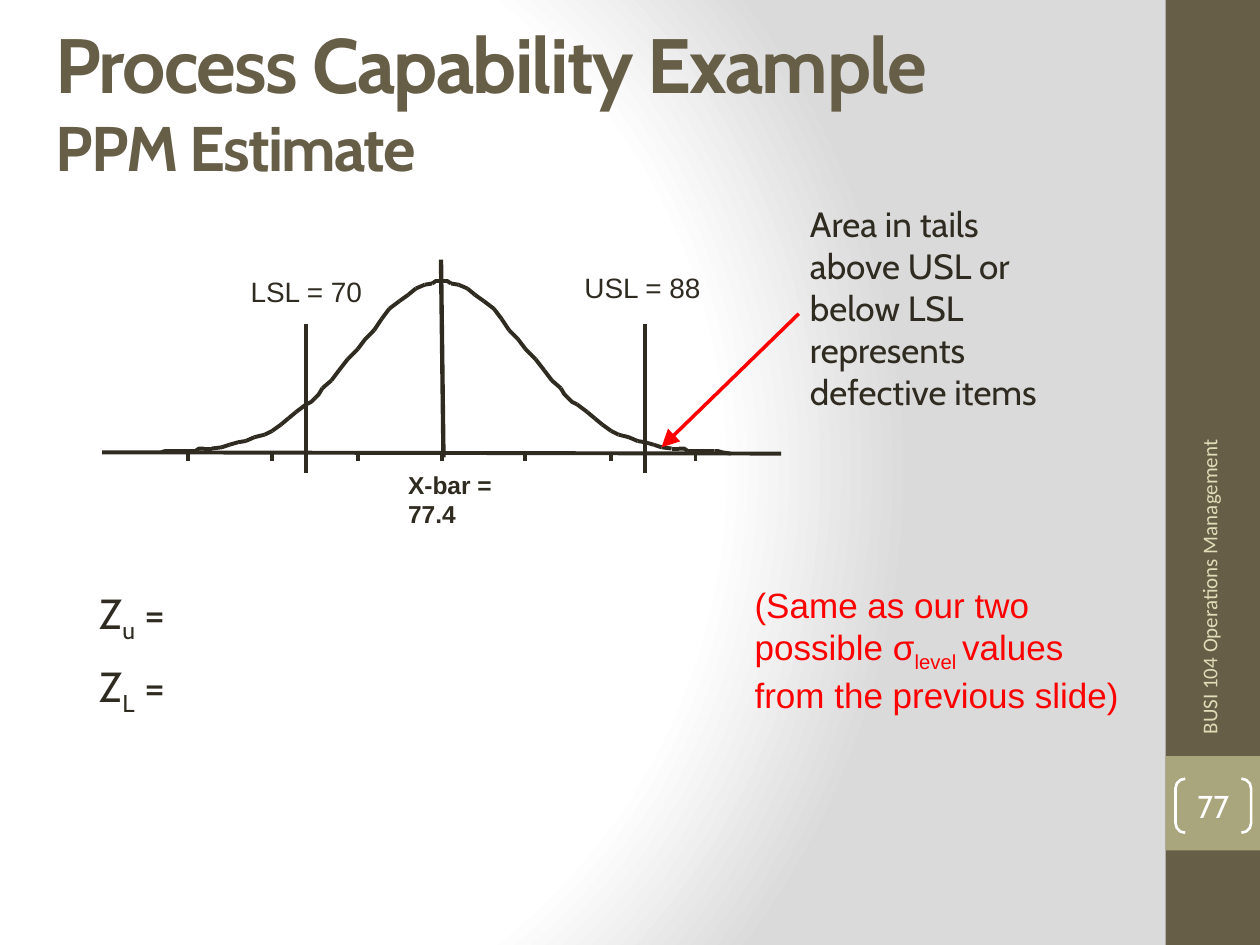
from dataclasses import dataclass

from lxml import etree
from pptx import Presentation
from pptx.dml.color import RGBColor
from pptx.enum.shapes import MSO_CONNECTOR, MSO_SHAPE
from pptx.enum.text import MSO_ANCHOR, MSO_AUTO_SIZE, PP_ALIGN
from pptx.oxml.ns import qn
from pptx.util import Inches, Pt

STRAIGHT = MSO_CONNECTOR.STRAIGHT
RECTANGLE = MSO_SHAPE.RECTANGLE
BRACKETS = MSO_SHAPE.DOUBLE_BRACKET
TOP, MIDDLE = MSO_ANCHOR.TOP, MSO_ANCHOR.MIDDLE
FIT_SHAPE, FIXED = MSO_AUTO_SIZE.SHAPE_TO_FIT_TEXT, MSO_AUTO_SIZE.NONE
CENTER = PP_ALIGN.CENTER

BROWN = RGBColor(0x67, 0x5E, 0x47)
OLIVE = RGBColor(0xA9, 0xA5, 0x7C)
CREAM = RGBColor(0xDF, 0xDC, 0xB7)
INK = RGBColor(0x2F, 0x2B, 0x20)
RED = RGBColor(0xFF, 0x00, 0x00)
WHITE = RGBColor(0xFF, 0xFF, 0xFF)
GRAY = RGBColor(0xDA, 0xDA, 0xDA)

Point = tuple[float, float]

MIRROR_SUM = 7.01
TICKS = [1.49, 2.16, 2.84, 3.51, 4.17, 4.85, 5.52]
APEX = (3.51, 2.23)
CURVE_END = (5.8, 3.6)
LEFT_STROKES = [
    [(1.28, 3.59), (1.31, 3.58)], [(1.34, 3.58)], [(1.42, 3.58)], [(1.49, 3.58)],
    [(1.55, 3.58), (1.58, 3.56)], [(1.62, 3.56)], [(1.68, 3.56)], [(1.76, 3.55)],
    [(1.82, 3.53)], [(1.89, 3.51)], [(1.95, 3.5)], [(2.02, 3.47)], [(2.1, 3.45)],
    [(2.16, 3.42)], [(2.23, 3.37)], [(2.29, 3.32)], [(2.35, 3.27), (2.39, 3.24)],
    [(2.43, 3.21), (2.47, 3.19)], [(2.5, 3.16), (2.53, 3.13)], [(2.56, 3.08)],
    [(2.63, 3.02)], [(2.69, 2.94)], [(2.76, 2.85)], [(2.84, 2.77)], [(2.9, 2.69)],
    [(2.97, 2.62)], [(3.03, 2.53)], [(3.09, 2.45)], [(3.17, 2.39)], [(3.24, 2.34)],
    [(3.3, 2.29)], [(3.37, 2.26)], [(3.43, 2.25), (3.46, 2.23)],
]


@dataclass(frozen=True)
class Run:
    text: str
    size: float
    font: str
    color: RGBColor
    bold: bool = False
    baseline: int = 0
    spacing: int = 0
    break_before: bool = False


@dataclass(frozen=True)
class Label:
    box: tuple[float, float, float, float]
    lines: list[list[Run]]
    wrap: bool = False
    anchor: MSO_ANCHOR = TOP
    fit: MSO_AUTO_SIZE = FIT_SHAPE
    rotation: float = 0


@dataclass(frozen=True)
class Line:
    start: Point
    end: Point
    width: float = 2.25
    color: RGBColor = INK
    arrow: bool = False


def add_run(paragraph, item: Run) -> None:
    if item.break_before:
        paragraph.add_line_break()
    run = paragraph.add_run()
    run.text = item.text
    run.font.size = Pt(item.size)
    run.font.name = item.font
    run.font.bold = item.bold
    run.font.color.rgb = item.color
    properties = run.font._element
    if item.baseline:
        properties.set("baseline", str(item.baseline * 1000))
    if item.spacing:
        properties.set("spc", str(item.spacing * 100))


def add_label(slide, label: Label) -> None:
    shape = slide.shapes.add_textbox(*map(Inches, label.box))
    shape.rotation = label.rotation
    frame = shape.text_frame
    frame.word_wrap = label.wrap
    frame.auto_size = label.fit
    frame.vertical_anchor = label.anchor
    for index, line in enumerate(label.lines):
        paragraph = frame.add_paragraph() if index else frame.paragraphs[0]
        for item in line:
            add_run(paragraph, item)


def add_line(slide, line: Line) -> None:
    points = map(Inches, (*line.start, *line.end))
    connector = slide.shapes.add_connector(STRAIGHT, *points)
    connector.line.width = Pt(line.width)
    connector.line.color.rgb = line.color
    if line.arrow:
        outline = connector.line._get_or_add_ln()
        etree.SubElement(outline, qn("a:tailEnd"), type="triangle", w="lg", len="lg")
    etree.SubElement(connector._element.spPr, qn("a:effectLst"))


def add_block(slide, box: tuple[float, float, float, float], color: RGBColor) -> None:
    shape = slide.shapes.add_shape(RECTANGLE, *map(Inches, box))
    shape.shadow.inherit = False
    shape.fill.solid()
    shape.fill.fore_color.rgb = color
    shape.line.fill.background()


def set_background(slide) -> None:
    slide.background.fill.gradient()
    gradient = slide._element.find(".//" + qn("a:gradFill"))
    for child in list(gradient):
        gradient.remove(child)
    stops = etree.SubElement(gradient, qn("a:gsLst"))
    for position, color in ((0, WHITE), (75, WHITE), (100, GRAY)):
        stop = etree.SubElement(stops, qn("a:gs"), pos=str(position * 1000))
        etree.SubElement(stop, qn("a:srgbClr"), val=str(color))
    shade = etree.SubElement(gradient, qn("a:path"), path="circle")
    etree.SubElement(shade, qn("a:fillToRect"), l="20000", t="50000", r="100000", b="50000")


def add_page_number(slide) -> None:
    shape = slide.shapes.add_shape(BRACKETS, *map(Inches, (9.33, 6.18, 0.6, 0.43)))
    shape.adjustments[0] = 0.179
    shape.shadow.inherit = False
    shape.fill.background()
    shape.line.color.rgb = WHITE
    shape.line.width = Pt(1.5)
    frame = shape.text_frame
    frame.margin_left = frame.margin_right = frame.margin_top = frame.margin_bottom = 0
    frame.vertical_anchor = MIDDLE
    paragraph = frame.paragraphs[0]
    paragraph.alignment = CENTER
    add_run(paragraph, Run("77", 18, "Cabin", WHITE))


def add_bend(slide, stroke: list[Point]) -> None:
    points = [(Inches(x), Inches(y)) for x, y in stroke]
    builder = slide.shapes.build_freeform(*points[0])
    builder.add_line_segments(points[1:], close=False)
    bend = builder.convert_to_shape()
    bend.shadow.inherit = False
    bend.fill.background()
    bend.line.color.rgb = INK
    bend.line.width = Pt(2.25)


def add_bell_curve(slide) -> None:
    ends = [stroke[0] for stroke in LEFT_STROKES[1:]] + [APEX]
    left = [[*stroke, end] for stroke, end in zip(LEFT_STROKES, ends)]
    right = [[(MIRROR_SUM - x, y) for x, y in reversed(stroke)] for stroke in reversed(left)]
    right[0][0] = APEX
    tail = [right[-1][-1], CURVE_END]
    for stroke in [*left, *right, tail]:
        if len(stroke) == 2:
            add_line(slide, Line(*stroke))
        else:
            add_bend(slide, stroke)


def z_score(subscript: str, top: float, width: float) -> Label:
    runs = [Run("Z", 24, "Cabin", INK), Run(subscript, 24, "Cabin", INK, baseline=-25),
            Run(" =", 24, "Cabin", INK)]
    return Label((0.69, top, width, 0.5), [runs])


def main() -> None:
    presentation = Presentation()
    presentation.slide_width, presentation.slide_height = Inches(10), Inches(7.5)
    slide = presentation.slides.add_slide(presentation.slide_layouts[6])
    set_background(slide)
    add_block(slide, (9.25, 0, 0.75, 7.5), BROWN)
    add_block(slide, (9.25, 6, 0.75, 0.75), OLIVE)
    title = [Run("Process Capability Example", 44, "Cabin", BROWN, True, spacing=-1),
             Run("PPM Estimate", 36, "Cabin", BROWN, True, spacing=-1, break_before=True)]
    add_label(slide, Label((0.34, 0.17, 8.91, 1.25), [title], True, MIDDLE, FIXED))
    course = Run("BUSI 104 Operations Management", 12, "Calibri", CREAM)
    add_label(slide, Label((7.76, 3.89, 3.67, 0.4), [[course]], True, MIDDLE, FIXED, 270))
    add_page_number(slide)

    add_line(slide, Line((0.81, 3.59), (6.2, 3.6)))
    for x in TICKS:
        add_line(slide, Line((x, 3.66), (x, 3.59)))
    add_bell_curve(slide)
    for x in (2.43, 5.12):
        add_line(slide, Line((x, 2.57), (x, 3.75), 2.5))
    add_line(slide, Line((3.5, 2.06), (3.52, 3.63), 2.5))
    add_line(slide, Line((6.34, 2.49), (5.25, 3.55), 2, RED, True))

    labels = [
        Label((3.14, 3.68, 0.93, 0.57),
              [[Run(text, 14, "Arial", INK, True)] for text in ("X-bar =", "77.4")]),
        Label((4.54, 2.1, 1.14, 0.37), [[Run("USL = 88", 16, "Arial", INK)]]),
        Label((1.89, 2.13, 1.1, 0.37), [[Run("LSL = 70", 16, "Arial", INK)]]),
        z_score("u", 4.61, 0.95),
        z_score("L", 5.19, 0.85),
        Label((6.33, 1.56, 2.08, 1.78),
              [[Run("Area in tails above USL or below LSL represents defective items",
                    20, "Cabin", INK)]], True),
        Label((5.89, 4.58, 3.11, 1.11),
              [[Run("(Same as our two possible σ", 20, "Arial", RED),
                Run("level ", 20, "Arial", RED, baseline=-25),
                Run("values from the previous slide)", 20, "Arial", RED)]], True),
    ]
    for label in labels:
        add_label(slide, label)
    presentation.save("out.pptx")


if __name__ == "__main__":
    main()
